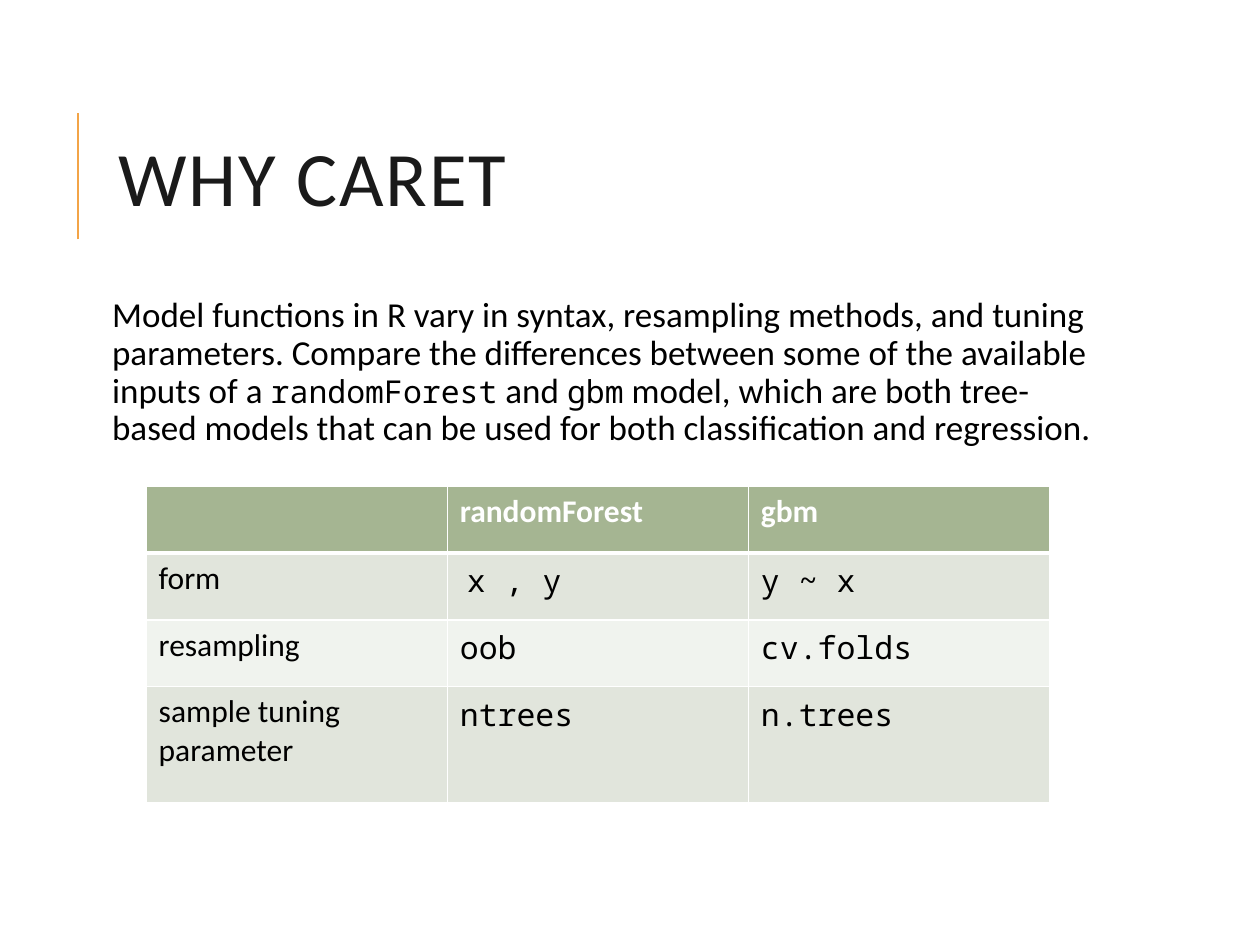
from lxml import etree
from pptx import Presentation
from pptx.dml.color import RGBColor
from pptx.enum import shapes, text
from pptx.oxml.ns import qn
from pptx.util import Inches, Pt

WHITE = RGBColor(0xFF, 0xFF, 0xFF)
BLACK = RGBColor(0, 0, 0)
INK = RGBColor(0x1A, 0x1A, 0x1A)
ORANGE = RGBColor(0xF3, 0xA4, 0x47)
GREEN = RGBColor(0xA5, 0xB5, 0x92)
BANDS = [RGBColor(0xF0, 0xF3, 0xEE), RGBColor(0xE1, 0xE5, 0xDC)]
SANS = "Calibri"
MONO = "Noto Sans Mono"


def add_run(p, words, size, font=SANS, color=BLACK, bold=False):
    r = p.add_run()
    r.text = words
    r.font.size = Pt(size)
    r.font.name = font
    r.font.color.rgb = color
    r.font.bold = bold
    return r


def add_border(cell, side, width):
    """Draw one white cell edge; side is L, R, T or B."""
    ln = etree.SubElement(cell._tc.get_or_add_tcPr(), qn("a:ln" + side), w=str(Pt(width)))
    fill = etree.SubElement(ln, qn("a:solidFill"))
    etree.SubElement(fill, qn("a:srgbClr"), val=str(WHITE))


prs = Presentation()
prs.slide_width, prs.slide_height = Inches(10), Inches(7.5)
s = prs.slides.add_slide(prs.slide_layouts[5])

# Accent rule beside the title
rule = s.shapes.add_connector(
    shapes.MSO_CONNECTOR.STRAIGHT, Inches(0.62), Inches(1.9), Inches(0.62), Inches(0.9))
rule.line.color.rgb = ORANGE
rule.line.width = Pt(1.5)
etree.SubElement(rule._element.spPr, qn("a:effectLst"))

# Title
title = s.shapes.title
title.left, title.top = Inches(0.84), Inches(0.64)
title.width, title.height = Inches(7.97), Inches(1.64)
tf = title.text_frame
tf.auto_size = text.MSO_AUTO_SIZE.NONE
tf.vertical_anchor = text.MSO_ANCHOR.MIDDLE
p = tf.paragraphs[0]
p.alignment = text.PP_ALIGN.LEFT
p.line_spacing = 0.8
r = add_run(p, "WHY CARET", 44, color=INK)
r.font._element.set("spc", "100")

# Introduction
intro = s.shapes.add_textbox(Inches(0.84), Inches(2.31), Inches(7.97), Inches(4.4))
tf = intro.text_frame
tf.word_wrap = True
tf.margin_left = tf.margin_right = tf.margin_top = tf.margin_bottom = Inches(0.05)
p = tf.paragraphs[0]
p.line_spacing = 0.9
p.space_before, p.space_after = Pt(12), Pt(2)
add_run(p, "Model functions in R vary in syntax, resampling methods, and tuning parameters. "
           "Compare the differences between some of the available inputs of a ", 20)
add_run(p, "randomForest", 18, MONO)
add_run(p, " and ", 20)
add_run(p, "gbm", 18, MONO)
add_run(p, " model, which are both tree-based models that can be used for both "
           "classification and regression.", 20)

# Comparison table
rows = [
    ["", "randomForest", "gbm"],
    ["form", "x , y", "y ~ x"],
    ["resampling", "oob", "cv.folds"],
    ["sample tuning parameter", "ntrees", "n.trees"],
]
heights = [0.53, 0.53, 0.53, 0.92]
table = s.shapes.add_table(
    len(rows), 3, Inches(1.16), Inches(3.86), Inches(7.17), Inches(sum(heights))).table
for col in table.columns:
    col.width = Inches(2.39)
for i, (row, height) in enumerate(zip(rows, heights)):
    table.rows[i].height = Inches(height)
    header = i == 0
    for j, words in enumerate(row):
        cell = table.cell(i, j)
        for side in "LRTB":
            thick = (header and side == "B") or (i == 1 and side == "T")
            add_border(cell, side, 3 if thick else 1)
        cell.fill.solid()
        cell.fill.fore_color.rgb = GREEN if header else BANDS[i % 2]
        p = cell.text_frame.paragraphs[0]
        if words == "x , y":
            add_run(p, " ", 18)
        if words:
            add_run(p, words, 18, MONO if i and j else SANS,
                    WHITE if header else BLACK, header)

prs.save("out.pptx")
